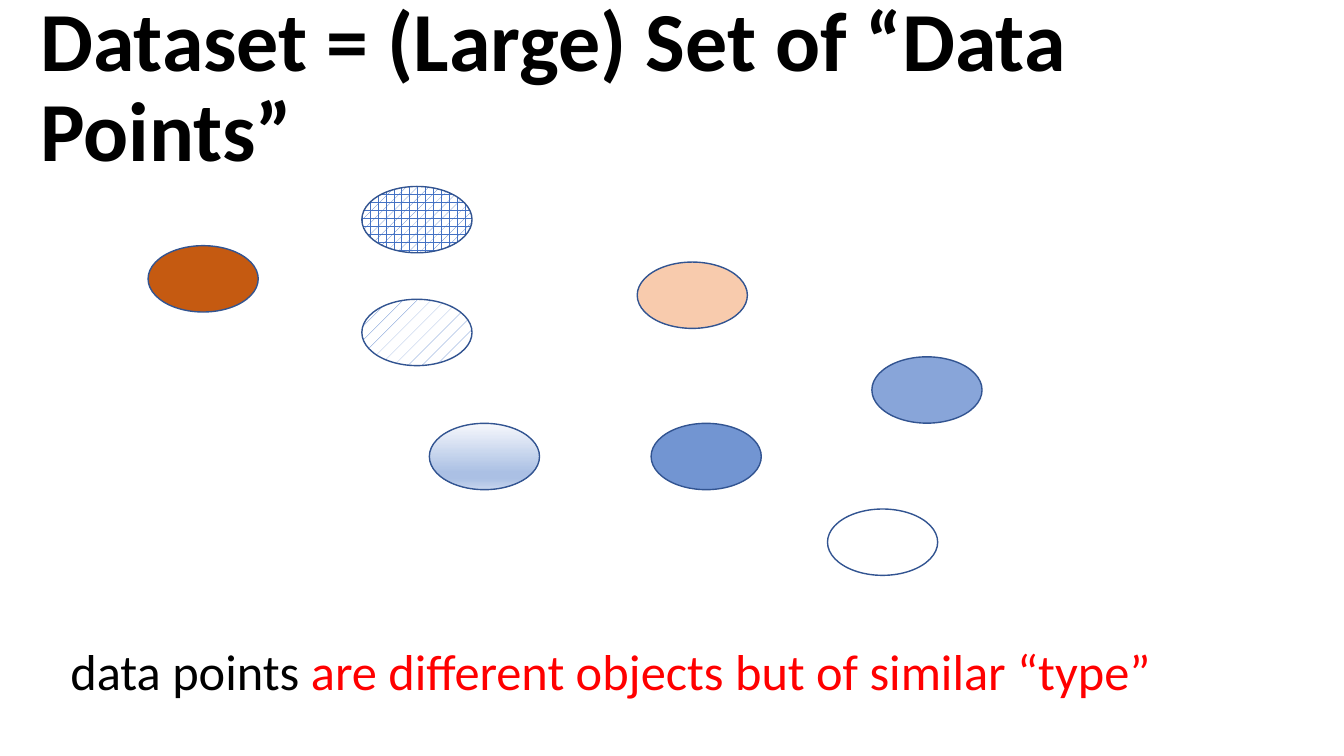
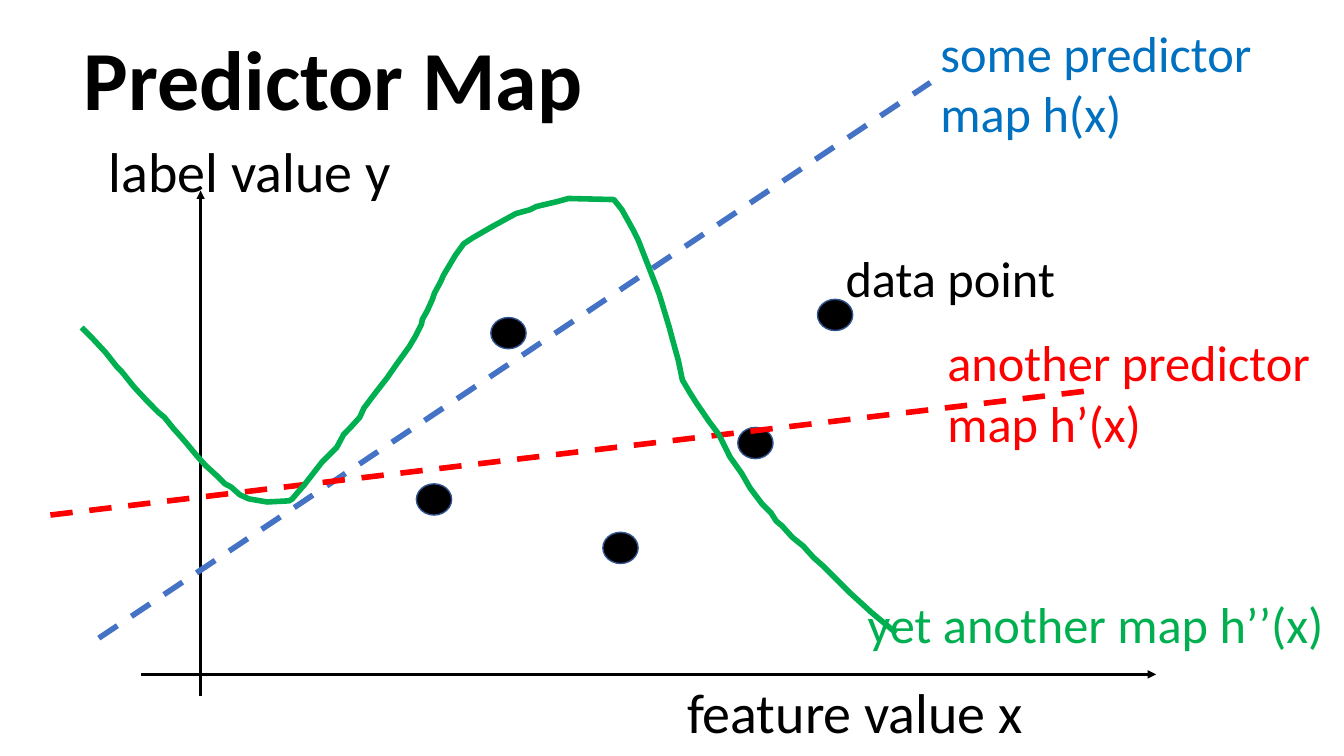
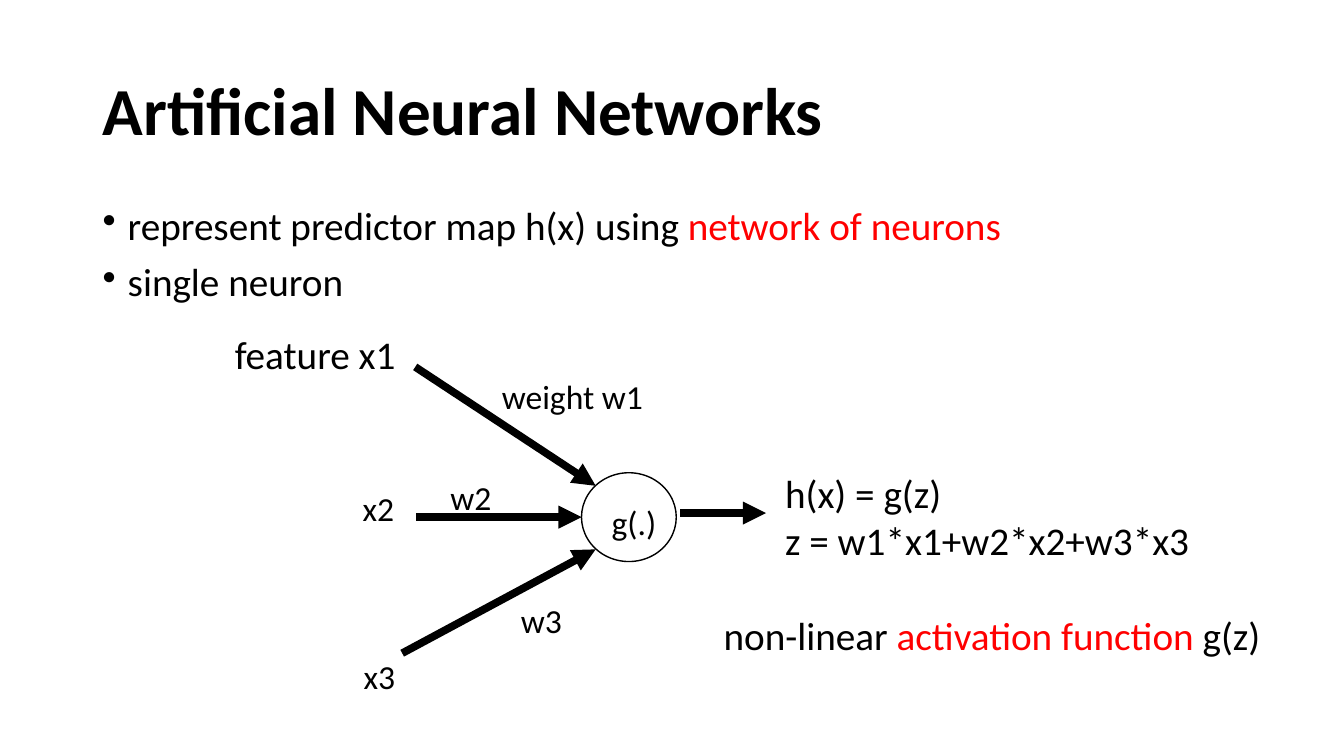
from lxml import etree
from pptx import Presentation
from pptx.dml.color import RGBColor
from pptx.enum.dml import MSO_LINE, MSO_PATTERN
from pptx.enum.shapes import MSO_CONNECTOR, MSO_SHAPE
from pptx.enum.text import MSO_ANCHOR, MSO_AUTO_SIZE
from pptx.oxml.ns import qn
from pptx.util import Pt

OVAL = MSO_SHAPE.OVAL
STRAIGHT = MSO_CONNECTOR.STRAIGHT
DASH = MSO_LINE.DASH
PLAID = MSO_PATTERN.PLAID
DOTS = MSO_PATTERN.PERCENT_5
MIDDLE = MSO_ANCHOR.MIDDLE
FIT_SHAPE = MSO_AUTO_SIZE.SHAPE_TO_FIT_TEXT

FONT = "Calibri"
BLACK, WHITE, RED, GREEN = "000000", "FFFFFF", "FF0000", "00B050"
BLUE, OUTLINE, LABEL_BLUE = "4472C4", "325491", "0070C0"

CURVE = [
    (58.3, 234), (66.2, 241.9), (75.6, 252), (83.5, 262.1), (87.1, 265.7),
    (95.8, 276.5), (104.4, 285.8), (113, 294.5), (117.4, 298.1), (123.8, 306),
    (129.6, 312.5), (133.9, 317.5), (140.4, 325.4), (146.9, 332.6),
    (154.8, 339.8), (160.6, 345.6), (164.9, 347.8), (171.4, 353.5),
    (177.8, 356.4), (190.8, 358.6), (206.6, 357.8), (208.8, 356.4),
    (212.4, 352.1), (217.4, 346.3), (222.5, 339.8), (229.7, 330.5),
    (240.5, 319.7), (245.5, 310.3), (249.8, 306), (257, 298.1),
    (259.9, 291.6), (268.6, 280.1), (276.5, 270), (283, 260.6),
    (292.3, 247.7), (296.6, 240.5), (301, 231.8), (301.7, 228.2),
    (305.3, 221.8), (308.9, 213.8), (310.3, 209.5), (314.6, 201.6),
    (316.8, 196.6), (325.4, 182.2), (331.2, 174.2), (337.7, 169.9),
    (351.4, 162), (368.6, 152.6), (378.7, 149.8), (383, 147.6),
    (398.2, 144), (406.1, 141.8), (438.5, 142.6), (444.2, 149.8),
    (452.2, 164.2), (455.8, 171.4), (463.7, 191.5), (470.9, 210.2),
    (478.1, 234), (480.2, 241.9), (484.6, 257.8), (487.4, 271.4),
    (492.5, 280.1), (497.5, 288), (506.9, 301.7), (513.4, 310.3),
    (521.3, 326.2), (529.9, 338.4), (535.7, 348.5), (544.3, 360),
    (550.8, 366.5), (554.4, 372.2), (558.7, 375.8), (565.9, 383.8),
    (573.8, 390.2), (581, 398.2), (588.2, 404.6), (599, 415.4),
    (607, 423.4), (622.8, 437.8), (640.1, 452.2),
]


def rgb(color):
    return RGBColor.from_string(color)


class Deck:
    """Holds the shared style and the current slide."""

    def __init__(self):
        self.prs = Presentation()
        self.prs.slide_width, self.prs.slide_height = Pt(960), Pt(540)
        self.s = None

    def slide(self, title, box, size):
        self.s = self.prs.slides.add_slide(self.prs.slide_layouts[6])
        tf = self.text([title], *box, size, wrap=True)
        tf.vertical_anchor = MIDDLE
        tf.paragraphs[0].font.bold = True
        tf.paragraphs[0].line_spacing = 0.9

    def text(self, lines, x, y, w, h, size, color=BLACK, wrap=False):
        tf = self.s.shapes.add_textbox(Pt(x), Pt(y), Pt(w), Pt(h)).text_frame
        tf.word_wrap = wrap
        if not wrap:
            tf.auto_size = FIT_SHAPE
        for i, line in enumerate(lines):
            p = tf.add_paragraph() if i else tf.paragraphs[0]
            p.font.name, p.font.size = FONT, Pt(size)
            p.font.color.rgb = rgb(color)
            for part in [line] if isinstance(line, str) else line:
                r = p.add_run()
                if isinstance(part, str):
                    r.text = part
                else:
                    r.text, accent = part
                    r.font.color.rgb = rgb(accent)
        return tf

    def bullets(self, lines, x, y, w, h, size):
        for p in self.text(lines, x, y, w, h, size, wrap=True).paragraphs:
            p.line_spacing, p.space_before = 0.9, Pt(10)
            pPr = p._p.get_or_add_pPr()
            pPr.set("marL", str(Pt(18)))
            pPr.set("indent", str(-Pt(18)))
            bullet = etree.Element(qn("a:buChar"), char="•")
            pPr.find(qn("a:defRPr")).addprevious(bullet)

    def ellipse(self, x, y, w, h, fill=None, line=OUTLINE, alpha=None):
        sp = self.s.shapes.add_shape(OVAL, Pt(x), Pt(y), Pt(w), Pt(h))
        self.outline(sp, line, 1)
        if fill:
            sp.fill.solid()
            sp.fill.fore_color.rgb = rgb(fill)
        if alpha:
            clr = sp._element.spPr.find(qn("a:solidFill"))[0]
            etree.SubElement(clr, qn("a:alpha"), val=str(alpha * 1000))
        return sp

    def pattern(self, sp, kind):
        sp.fill.patterned()
        sp.fill.pattern = kind
        sp.fill.fore_color.rgb, sp.fill.back_color.rgb = rgb(BLUE), rgb(WHITE)

    def gradient(self, sp, stops):
        sp.fill.gradient()
        sp.fill.gradient_angle = 270
        gs_list = sp._element.spPr.find(qn("a:gradFill")).find(qn("a:gsLst"))
        gs_list[:] = []
        for pos, color in stops:
            gs = etree.SubElement(gs_list, qn("a:gs"), pos=str(pos * 1000))
            etree.SubElement(gs, qn("a:srgbClr"), val=color)

    def outline(self, sp, color, width):
        sp.shadow.inherit = False
        sp.fill.background()
        sp.line.color.rgb, sp.line.width = rgb(color), Pt(width)

    def line(self, x1, y1, x2, y2, width, color=BLACK, arrow=True):
        c = self.s.shapes.add_connector(STRAIGHT, Pt(x1), Pt(y1), Pt(x2), Pt(y2))
        c.line.color.rgb, c.line.width = rgb(color), Pt(width)
        if arrow:
            ln = c.line._get_or_add_ln()
            etree.SubElement(ln, qn("a:tailEnd"), type="triangle")
        else:
            c.line.dash_style = DASH
        etree.SubElement(c._element.spPr, qn("a:effectLst"))

    def curve(self, points, color, width):
        (x, y), *rest = [(Pt(a), Pt(b)) for a, b in points]
        builder = self.s.shapes.build_freeform(x, y)
        builder.add_line_segments(rest, close=False)
        self.outline(builder.convert_to_shape(), color, width)


def dataset(d):
    d.slide("Dataset = (Large) Set of “Data Points”", (21.6, 11.5, 917.3, 104.4), 60)
    w, h = 78.7, 47.4
    d.ellipse(105.8, 175.5, w, h, "C55A11")
    d.pattern(d.ellipse(258.5, 133.2, w, h), PLAID)
    d.gradient(d.ellipse(306.7, 302.4, w, h),
               [(0, "F6F8FC"), (74, "ABC0E4"), (83, "ABC0E4"), (100, "C7D5ED")])
    d.ellipse(455.2, 187.2, w, h, "F8CBAD")
    d.pattern(d.ellipse(258.5, 213.8, w, h), DOTS)
    d.ellipse(591.1, 363.6, w, h)
    d.ellipse(622.8, 254.9, w, h, BLUE, alpha=63)
    d.ellipse(465.1, 302.4, w, h, BLUE, alpha=75)
    d.text([["data points ", ("are different objects but of similar “type”", RED)]],
           43.2, 453.6, 794.2, 51.1, 36)


def predictor_map(d):
    d.slide("Predictor Map", (52.6, 15.8, 874.8, 87.1), 60)
    for x, y in [(297.4, 345.6), (350.6, 226.8), (527, 305.3),
                 (583.9, 213.8), (430.6, 380.2)]:
        d.ellipse(x, y, 25.2, 22.3, BLACK)
    d.line(143.3, 496.8, 143.3, 136.1, 2)
    d.text(["label value y"], 70.6, 94.3, 217.4, 55.4, 40)
    d.line(100.8, 481.7, 825.8, 481.7, 2)
    d.text(["feature value x"], 483.8, 480.2, 256.3, 55.4, 40)
    d.text(["data point"], 596.9, 172.8, 165.6, 51.1, 36)
    d.line(70.6, 455.8, 664.6, 59, 4, BLUE, arrow=False)
    d.text(["some predictor", "map h(x)"], 664.6, 12.2, 247, 94.3, 36, LABEL_BLUE)
    d.line(36, 367.9, 775.4, 279.4, 4, RED, arrow=False)
    d.text(["another predictor", "map h’(x)"], 669.6, 233.3, 275.8, 94.3, 36, RED)
    d.curve(CURVE, GREEN, 4)
    d.text(["yet another map h’’(x)"], 612.7, 419.8, 343.4, 51.1, 36, GREEN)


def neural_networks(d):
    d.slide("Artificial Neural Networks", (66.2, 28.8, 828, 104.4), 48)
    d.bullets([["represent predictor map h(x) using ", ("network of neurons", RED)],
               "single neuron"], 66.2, 144, 828, 85, 28)
    d.ellipse(415.4, 337.7, 67.7, 63.4, line=BLACK)
    for ends in [(297.4, 369.4, 415.4, 369.4), (287.3, 466.6, 425.5, 392.4),
                 (296.6, 262.1, 425.5, 347), (486, 366.5, 547.2, 366.5)]:
        d.line(*ends, 5.5)
    for label, x, y, w in [("g(.)", 429.8, 355, 46.8), ("weight w1", 351.4, 265, 115.9),
                           ("w2", 314.6, 337, 43.9), ("w3", 365, 424.8, 43.9),
                           ("x2", 252, 344.9, 37.4), ("x3", 252.7, 465.1, 37.4)]:
        d.text([label], x, y, w, 36, 24)
    d.text(["feature x1"], 160.6, 232.6, 130.3, 41, 28)
    d.text(["h(x) = g(z)", "z = w1*x1+w2*x2+w3*x3"], 553.7, 331.9, 313.2, 74.9, 28)
    d.text([["non-linear ", ("activation function ", RED), "g(z)"]],
           509.8, 433.4, 402.5, 41, 28)


def main():
    d = Deck()
    dataset(d)
    predictor_map(d)
    neural_networks(d)
    d.prs.save("out.pptx")


if __name__ == "__main__":
    main()
